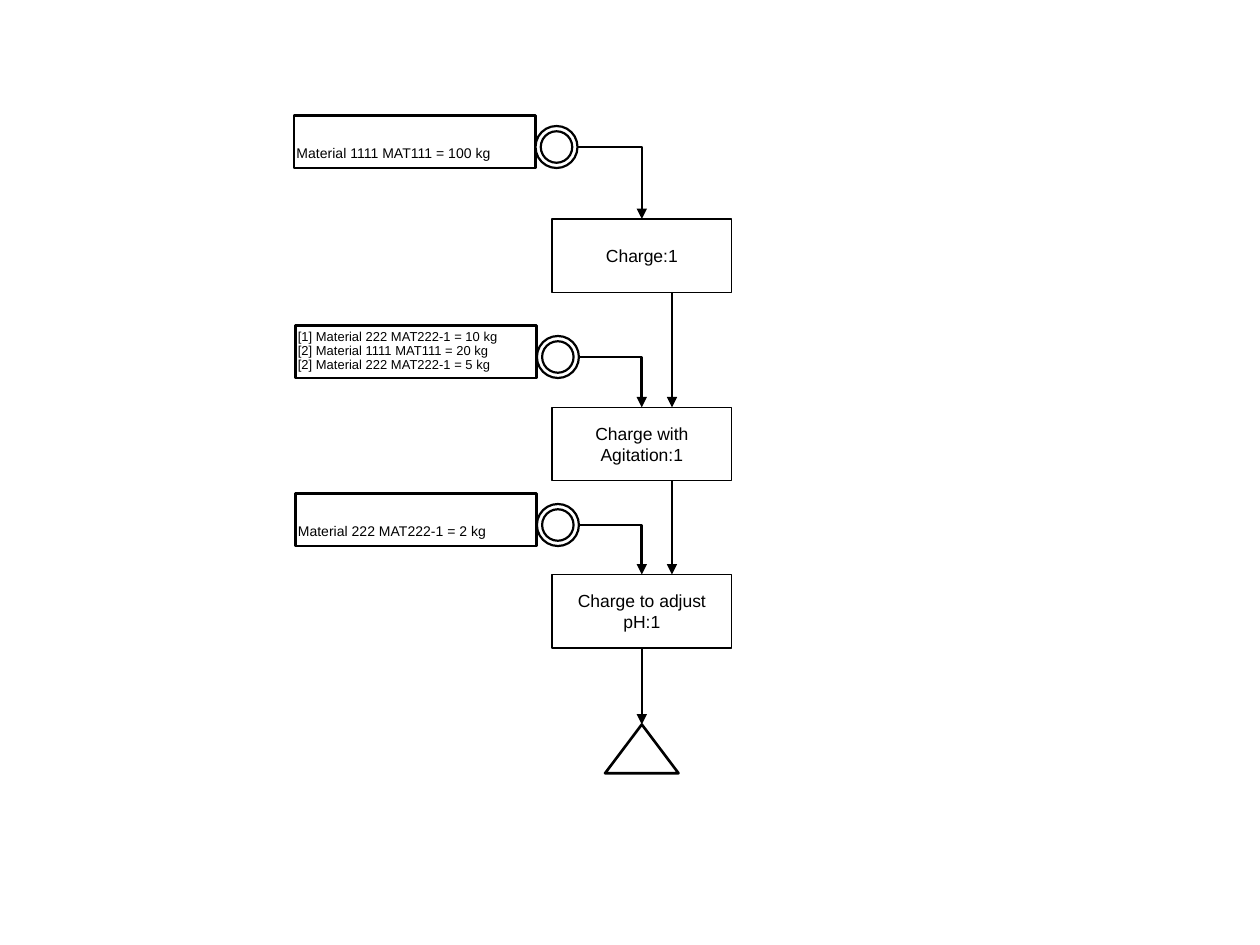
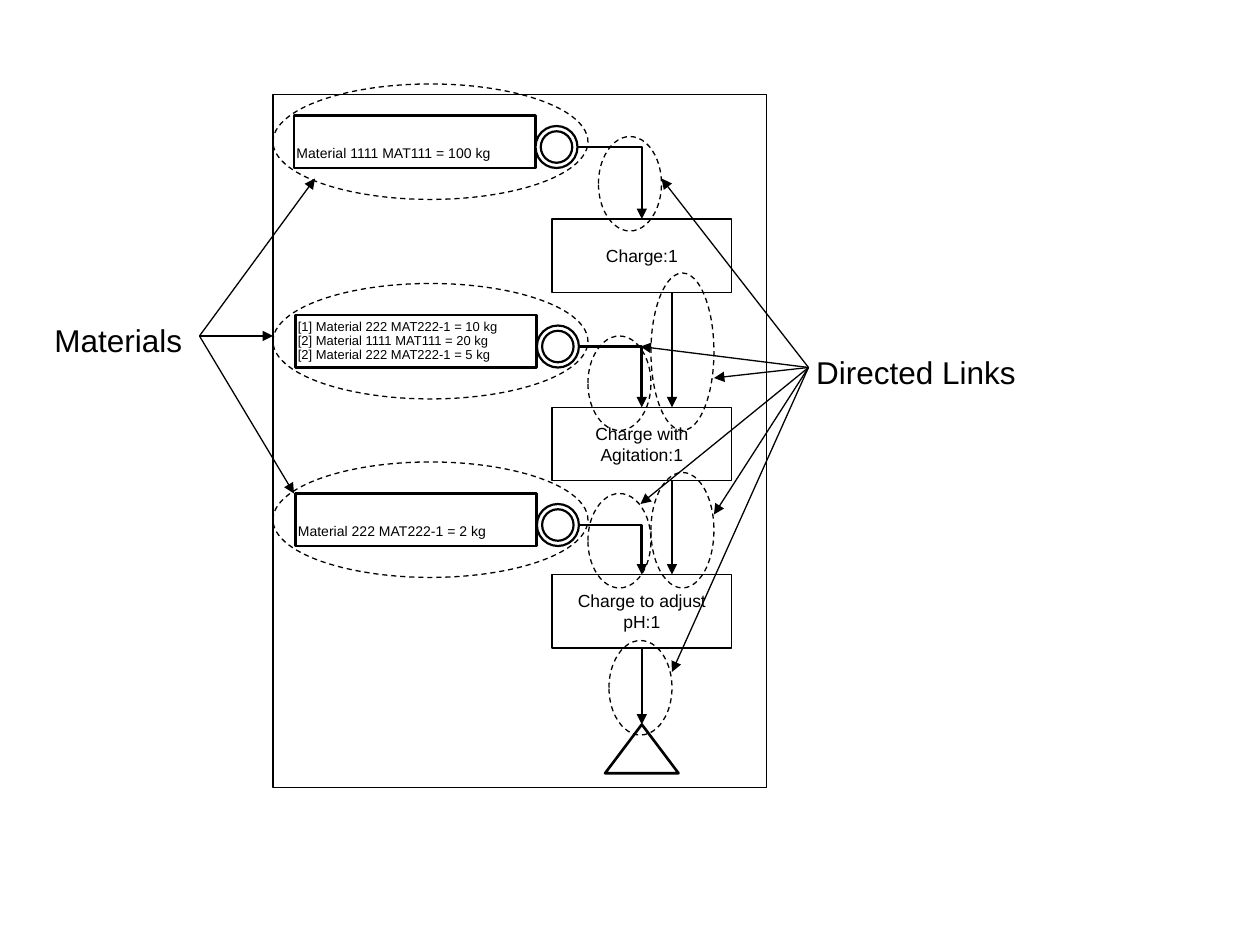
from pptx import Presentation
from pptx.dml.color import RGBColor
from pptx.enum.dml import MSO_LINE
from pptx.enum.shapes import MSO_CONNECTOR, MSO_SHAPE
from pptx.enum.text import MSO_ANCHOR, MSO_AUTO_SIZE, PP_ALIGN
from pptx.oxml.ns import qn
from pptx.util import Inches, Pt
from lxml import etree

BLACK = RGBColor(0, 0, 0)
WHITE = RGBColor(255, 255, 255)
FONT = "Arial"
RECT, OVAL = MSO_SHAPE.RECTANGLE, MSO_SHAPE.OVAL
TRI = MSO_SHAPE.ISOSCELES_TRIANGLE
LINE, BENT = MSO_CONNECTOR.STRAIGHT, MSO_CONNECTOR.ELBOW
DASH = MSO_LINE.DASH
MID, LOW, TOP = MSO_ANCHOR.MIDDLE, MSO_ANCHOR.BOTTOM, MSO_ANCHOR.TOP
LEFT, CENTER = PP_ALIGN.LEFT, PP_ALIGN.CENTER
GROW = MSO_AUTO_SIZE.SHAPE_TO_FIT_TEXT

# All lengths are in cells of a grid with 12 cells to the inch.
CELL = Inches(1) / 12
THIN, RING, BOLD = 0.75, 1.25, 1.5

# Text lines and left edge of each material
STOCKS = [
    (["Material 1111 MAT111 = 100 kg"], 28),
    (["[1] Material 222 MAT222-1 = 10 kg",
      "[2] Material 1111 MAT111 = 20 kg",
      "[2] Material 222 MAT222-1 = 5 kg"], 28.13),
    (["Material 222 MAT222-1 = 2 kg"], 28.13),
]
STEPS = [("Charge:1", 20.86), ("Charge with Agitation:1", 38.8),
         ("Charge to adjust pH:1", 54.72)]
STOCK_W, STOCK_H = 23, 5
STEP_W, STEP_H = 17.12, 7
AXIS, SIDE = 61.13, 64         # centre of the steps, and the link beside it
END_TOP, END_W, END_H = 69, 7, 4.65

# Stock tops on each slide
PLAIN_TOPS = [11, 31, 47]
NOTED_TOPS = [11, 30, 47]

FRAME = (26, 9, 47, 66)
LINK_RINGS = [(62, 26, 6, 15), (56, 32, 6, 9), (56, 47, 6, 9),
              (57, 13, 6, 9), (62, 45, 6, 11), (58, 61, 6, 9)]
STOCK_RINGS = [(26, top, 30, 11) for top in (8, 27, 44)]
# Label, its box, start of its arrows, ends of its arrows
NOTES = [
    ("Directed Links", (76.55, 33, 21.5, 4.85), (77, 35),
     [(64, 64), (68, 49), (61, 48), (68, 36), (61, 33), (63, 17)]),
    ("Materials", (4, 30, 14.8, 4.85), (19, 32),
     [(26, 32), (30, 17), (28, 47)]),
]


def grid(*cells):
    return [round(c * CELL) for c in cells]


def draw(shapes, kind, box, width, fill=WHITE, dash=None):
    shape = shapes.add_shape(kind, *grid(*box))
    shape.shadow.inherit = False
    if fill is None:
        shape.fill.background()
    else:
        shape.fill.solid()
        shape.fill.fore_color.rgb = fill
    shape.line.color.rgb = BLACK
    shape.line.width = Pt(width)
    if dash:
        shape.line.dash_style = dash
    return shape


def write(shape, lines, size, anchor, align=LEFT, pads=(0.1, 0.05),
          space=1.0, wrap=True):
    frame = shape.text_frame
    frame.word_wrap = wrap
    if not wrap:
        frame.auto_size = GROW
    frame.vertical_anchor = anchor
    frame.margin_left = frame.margin_right = Inches(pads[0])
    frame.margin_top = frame.margin_bottom = Inches(pads[1])
    for i, line in enumerate(lines):
        para = frame.add_paragraph() if i else frame.paragraphs[0]
        para.alignment = align
        para.line_spacing = space
        run = para.add_run()
        run.text = line
        run.font.name = FONT
        run.font.size = Pt(size)
        run.font.color.rgb = BLACK


def arrow(shapes, start, end, width, kind=LINE):
    link = shapes.add_connector(kind, *grid(*start, *end))
    link.line.color.rgb = BLACK
    link.line.width = Pt(width)
    props = link._element.spPr
    tip = etree.SubElement(props.find(qn("a:ln")), qn("a:tailEnd"))
    tip.set("type", "triangle")
    etree.SubElement(props, qn("a:effectLst"))
    if kind == BENT:
        props.find(qn("a:prstGeom")).set("prst", "bentConnector2")
    return link


def stock(shapes, lines, left, top):
    """Draw a material box with its double ring; return the ring's right side."""
    group = shapes.add_group_shape().shapes
    box = draw(group, RECT, (left, top, STOCK_W, STOCK_H), BOLD)
    if len(lines) > 1:
        write(box, lines, 7.4, MID, pads=(0.02, 0.02), space=0.9)
    else:
        write(box, lines, 8, LOW, pads=(0.02, 0.05))
    edge = left + STOCK_W
    for size in (4, 3):
        inset = (4 - size) / 2
        draw(group, OVAL, (edge + inset, top + 1 + inset, size, size), RING)
    return edge + 4, top + 3


def flow(shapes, tops):
    ports = [stock(shapes, *item, top) for item, top in zip(STOCKS, tops)]
    steps = []
    for name, top in STEPS:
        step = draw(shapes, RECT, (AXIS - STEP_W / 2, top, STEP_W, STEP_H), THIN)
        write(step, [name], 10, MID, CENTER)
        steps.append(step)
    heads = [top for _, top in STEPS]
    for port, top in zip(ports, heads):
        arrow(shapes, port, (AXIS, top), BOLD, BENT)
    end = draw(shapes, TRI, (AXIS - END_W / 2, END_TOP, END_W, END_H), BOLD)
    last = arrow(shapes, (AXIS, heads[-1] + STEP_H), (AXIS, END_TOP), BOLD)
    last.begin_connect(steps[-1], 2)
    last.end_connect(end, 0)
    for top, after in zip(heads, heads[1:]):
        arrow(shapes, (SIDE, top + STEP_H), (SIDE, after), BOLD)


def notes(shapes):
    for ring in LINK_RINGS + STOCK_RINGS:
        draw(shapes, OVAL, ring, THIN, None, DASH)
    for name, box, hub, ends in NOTES:
        label = shapes.add_textbox(*grid(*box))
        write(label, [name], 18, TOP, wrap=False)
        for end in ends:
            arrow(shapes, hub, end, THIN)


def main():
    deck = Presentation()
    deck.slide_width, deck.slide_height = Inches(10), Inches(7.5)
    blank = deck.slide_layouts[6]
    flow(deck.slides.add_slide(blank).shapes, PLAIN_TOPS)
    shapes = deck.slides.add_slide(blank).shapes
    draw(shapes, RECT, FRAME, THIN, None)
    flow(shapes, NOTED_TOPS)
    notes(shapes)
    deck.save("out.pptx")


if __name__ == "__main__":
    main()
